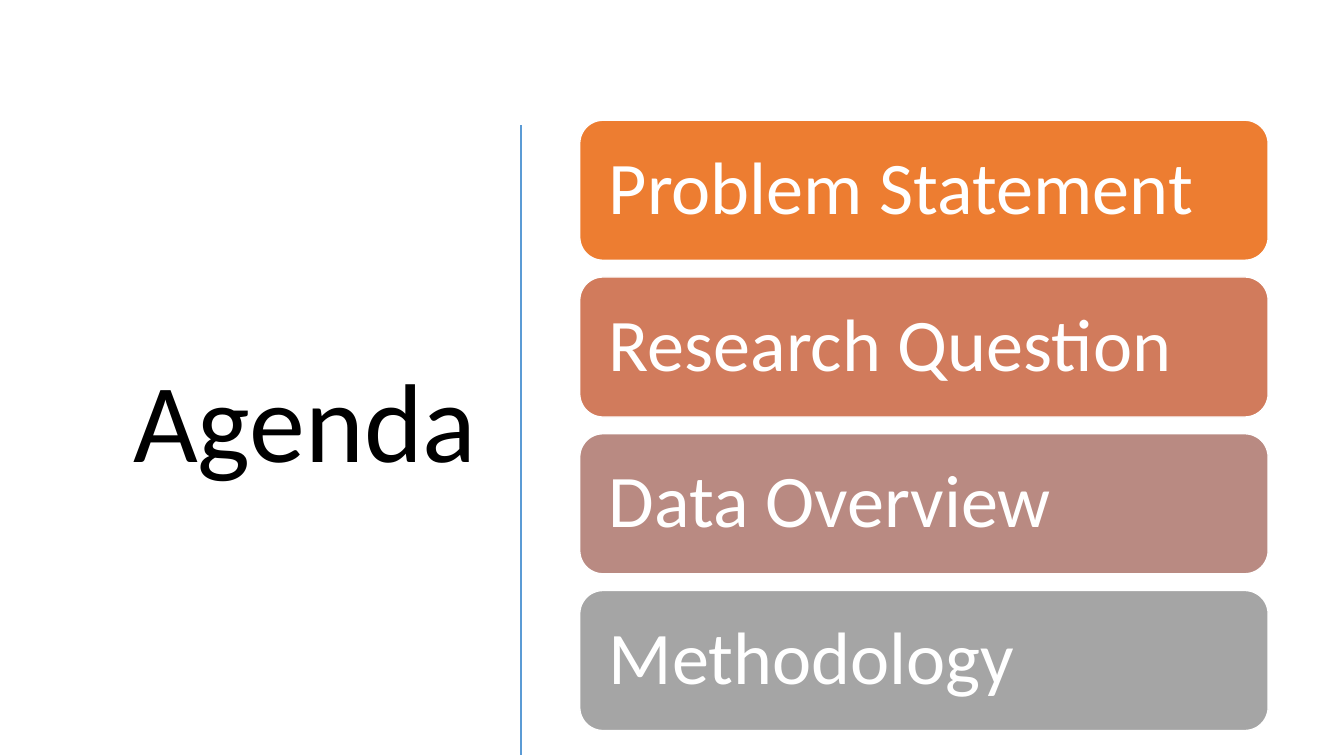
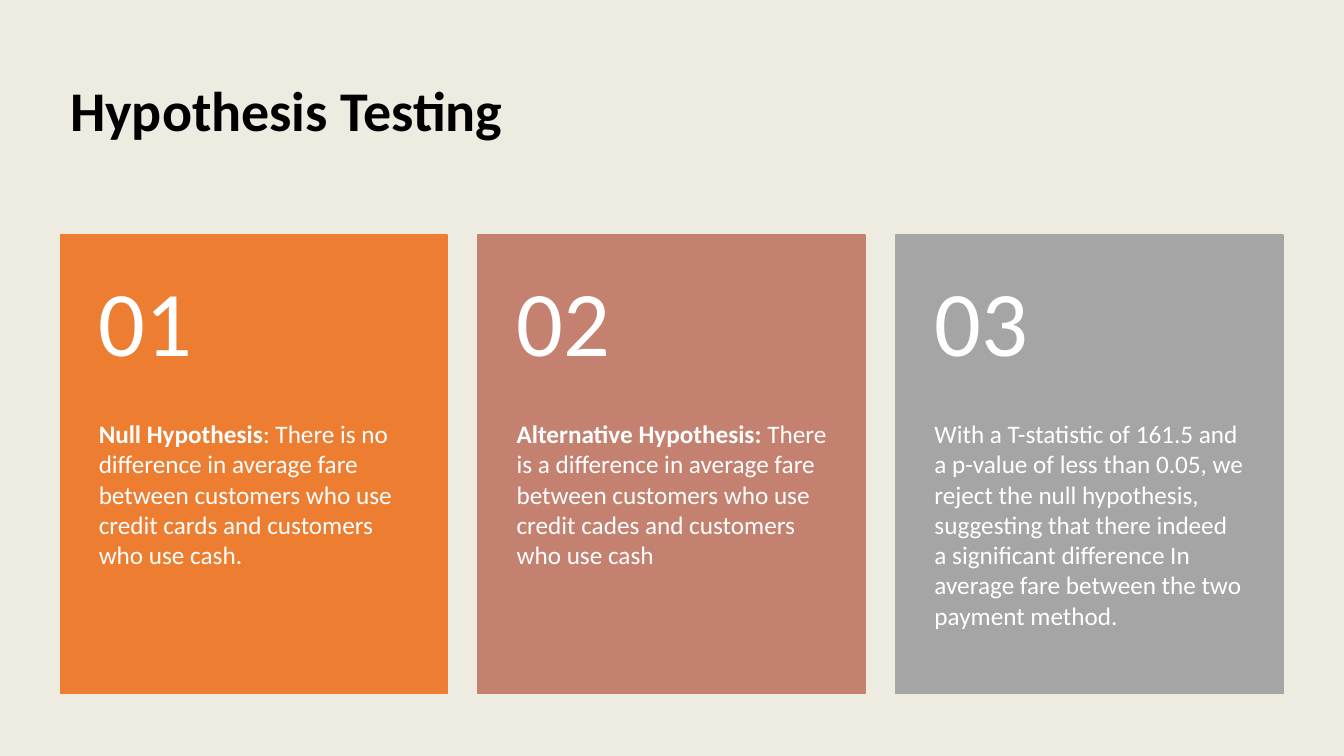
from dataclasses import dataclass

from lxml.etree import SubElement
from pptx import Presentation
from pptx.dml.color import RGBColor as Rgb
from pptx.enum.shapes import MSO_CONNECTOR as Link, MSO_SHAPE as Kind
from pptx.enum.text import MSO_ANCHOR as Anchor, MSO_AUTO_SIZE as Fit, PP_ALIGN as Align
from pptx.oxml.ns import qn
from pptx.util import Cm, Pt


@dataclass(frozen=True)
class Theme:
    font: str = "Calibri"
    black: str = "000000"
    white: str = "FFFFFF"
    cream: str = "EEEBE1"
    blue: str = "5B9BD5"
    orange: str = "ED7D31"
    coral: str = "D17B5C"
    rose: str = "C48170"
    mauve: str = "B98A82"
    gray: str = "A5A5A5"
    hero: int = 80
    digit: int = 66
    label: int = 53
    head: int = 40
    body: int = 18
    tight: float = 0.9


LOOK = Theme()

TOPICS = [
    ("Problem Statement", LOOK.orange),
    ("Research Question", LOOK.coral),
    ("Data Overview", LOOK.mauve),
    ("Methodology", LOOK.gray),
]

CARDS = [
    (LOOK.orange, [
        ("Null Hypothesis", True),
        (": There is no difference in average fare between customers "
         "who use credit cards and customers who use cash.", False),
    ]),
    (LOOK.rose, [
        ("Alternative Hypothesis: ", True),
        ("There is a difference in average fare between customers "
         "who use credit cades and customers who use cash", False),
    ]),
    (LOOK.gray, [
        ("With a T-statistic of 161.5 and a p-value of less than 0.05, "
         "we reject the null hypothesis, suggesting that there indeed "
         "a significant difference In average fare between the two "
         "payment method.", False),
    ]),
]


def write(frame, runs, size, color, align=Align.LEFT, space=LOOK.tight,
          anchor=Anchor.MIDDLE, pad=(0.25, 0.13, 0.25, 0.13)):
    frame.word_wrap = True
    frame.auto_size = Fit.NONE
    frame.vertical_anchor = anchor
    (frame.margin_left, frame.margin_top,
     frame.margin_right, frame.margin_bottom) = map(Cm, pad)
    para = frame.paragraphs[0]
    para.alignment = align
    para.line_spacing = space
    for text, bold in runs:
        run = para.add_run()
        run.text = text
        font = run.font
        font.name = LOOK.font
        font.size = Pt(size)
        font.bold = bold
        font.color.rgb = Rgb.from_string(color)


def add_slide(deck, back, title, box, size, bold=False, align=Align.LEFT):
    slide = deck.slides.add_slide(deck.slide_layouts[5])
    fill = slide.background.fill
    fill.solid()
    fill.fore_color.rgb = Rgb.from_string(back)
    holder = slide.shapes.title
    holder.left, holder.top, holder.width, holder.height = map(Cm, box)
    write(holder.text_frame, [(title, bold)], size, LOOK.black, align)
    return slide


def add_block(slide, kind, box, color, edge):
    block = slide.shapes.add_shape(kind, *map(Cm, box))
    block.shadow.inherit = False
    block.fill.solid()
    block.fill.fore_color.rgb = Rgb.from_string(color)
    block.line.color.rgb = Rgb.from_string(edge)
    block.line.width = Pt(1)
    return block


def add_text(slide, box, runs, size, **style):
    frame = slide.shapes.add_textbox(*map(Cm, box)).text_frame
    write(frame, runs, size, LOOK.white, **style)


def add_rule(slide, x, top, end):
    rule = slide.shapes.add_connector(Link.STRAIGHT, Cm(x), Cm(top), Cm(x), Cm(end))
    rule.line.color.rgb = Rgb.from_string(LOOK.blue)
    rule.line.width = Pt(2)
    SubElement(rule._element.spPr, qn("a:effectLst"))


def add_pill(slide, box, text, color):
    pill = add_block(slide, Kind.ROUNDED_RECTANGLE, box, color, LOOK.white)
    write(pill.text_frame, [(text, False)], LOOK.label, LOOK.white,
          pad=(0.56, 0.25, 0.56, 0.25))


def add_card(slide, box, mark, runs, color):
    left, top, width, height = box
    split = 0.4 * height
    add_block(slide, Kind.RECTANGLE, box, color, color)
    add_text(slide, (left, top + split, width, height - split), runs, LOOK.body,
             space=1.0, anchor=Anchor.TOP, pad=(0.97, 0, 0.97, 0.91))
    add_text(slide, (left, top, width, split), [(mark, False)], LOOK.digit,
             pad=(0.97, 0.46, 0.97, 0.46))


def agenda(deck):
    slide = add_slide(deck, LOOK.white, "Agenda", (1.32, 2.97, 10.95, 15.52),
                      LOOK.hero, align=Align.RIGHT)
    add_rule(slide, 13.13, 3.15, 19.02)
    high, gap = 3.53, 0.42
    for row, (text, color) in enumerate(TOPICS):
        top = 3.03 + row * (high + gap)
        add_pill(slide, (14.61, top, 17.35, high), text, color)


def testing(deck):
    slide = add_slide(deck, LOOK.cream, "Hypothesis Testing",
                      (1.52, 1.02, 30.81, 3.68), LOOK.head, bold=True)
    wide, gap = 9.75, 0.78
    for col, (color, runs) in enumerate(CARDS):
        left = 1.52 + col * (wide + gap)
        add_card(slide, (left, 5.92, wide, 11.56), f"{col + 1:02}", runs, color)


def main():
    deck = Presentation()
    deck.slide_width, deck.slide_height = Cm(33.87), Cm(19.05)
    agenda(deck)
    testing(deck)
    deck.save("out.pptx")


if __name__ == "__main__":
    main()
